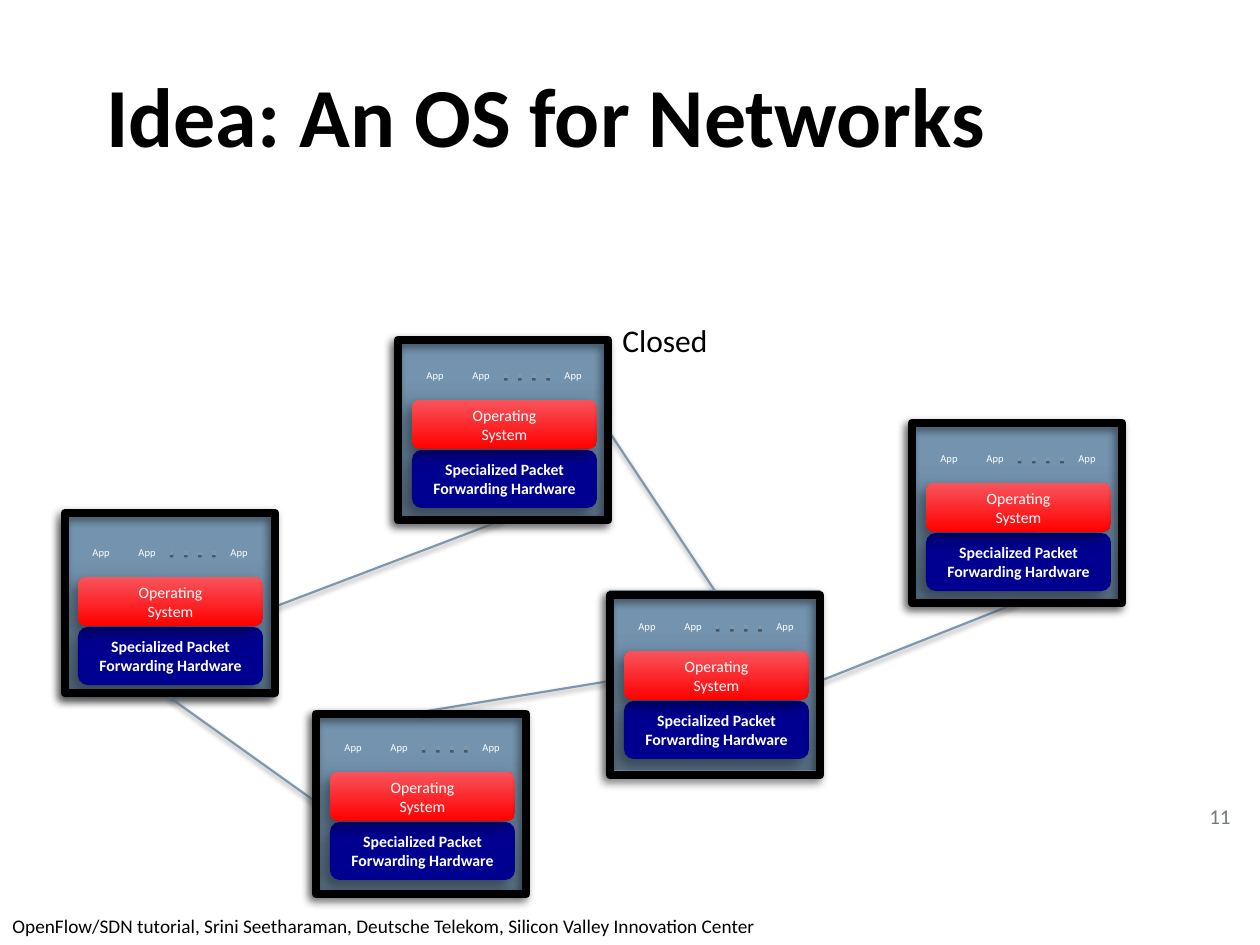
import lxml.etree
import pptx
import pptx.dml.color
import pptx.enum.shapes
import pptx.enum.text
import pptx.oxml.ns
import pptx.util

PIXELS_PER_INCH = 126
SHAPES = pptx.enum.shapes.MSO_SHAPE
ANCHOR = pptx.enum.text.MSO_ANCHOR
ALIGN = pptx.enum.text.PP_ALIGN
GROW = pptx.enum.text.MSO_AUTO_SIZE.SHAPE_TO_FIT_TEXT

THEME = {
    "font": "Calibri",
    "ink": "000000",
    "white": "FFFFFF",
    "muted": "727A81",
    "hardware": "000090",
    "system": [(0, "FF0000"), (1, "F7545C")],
    "chassis": [(0, "597186"), (0.8, "7393AE")],
    "chassis_edge": "7A94AA",
    "link": "7E97AD",
    "title_size": 48,
    "label_size": 18,
    "number_size": 12,
    "footer_size": 11,
    "layer_size": 9,
    "app_size": 6,
    "box_shadow": (45, 5, 3, 135),
    "layer_shadow": (40, 8, 5, 135),
    "link_shadow": (38, 3.1, 1.6, 90),
    "dots_shadow": (38, 0, 1.6, 90),
}

SWITCH_SIZE = (210, 180)
SWITCHES = {
    "left": (64, 517),
    "top": (398, 340),
    "right": (912, 423),
    "bottom": (316, 712),
    "center": (610, 591),
}
FRAME_SHIFTS = {"left": (1, -4), "bottom": (0, 2), "center": (0, 4)}
TOP, LEFT, BOTTOM, RIGHT = range(4)
LINKS = [
    ("left", RIGHT, "top", BOTTOM),
    ("top", RIGHT, "center", TOP),
    ("bottom", TOP, "center", LEFT),
    ("left", BOTTOM, "bottom", LEFT),
    ("center", RIGHT, "right", BOTTOM),
]


def px(*lengths):
    """Turn pixel lengths into EMU."""
    return [pptx.util.Emu(round(length * 914400 / PIXELS_PER_INCH)) for length in lengths]


def color(value):
    """Turn a hex string into a colour."""
    return pptx.dml.color.RGBColor.from_string(value)


def apply_format(target, values):
    """Set every named attribute of the target."""
    for name, value in values.items():
        setattr(target, name, value)


def add_xml(parent, tag, **attributes):
    """Append a DrawingML element."""
    return lxml.etree.SubElement(parent, pptx.oxml.ns.qn(tag), **attributes)


def set_shadow(shape, values):
    """Give a shape with a finished outline an outer shadow."""
    opacity, blur, distance, angle = values
    effects = add_xml(shape._element.spPr, "a:effectLst")
    shadow = add_xml(
        effects, "a:outerShdw", blurRad=str(round(blur * 12700)),
        dist=str(round(distance * 12700)), dir=str(angle * 60000), rotWithShape="0",
    )
    shade = add_xml(shadow, "a:srgbClr", val=THEME["ink"])
    add_xml(shade, "a:alpha", val=str(opacity * 1000))


def set_fill(shape, paint):
    """Fill with nothing, one colour or a gradient rising from the bottom."""
    if paint is None:
        shape.fill.background()
    elif isinstance(paint, str):
        shape.fill.solid()
        shape.fill.fore_color.rgb = color(paint)
    else:
        shape.fill.gradient()
        shape.fill.gradient_angle = 90
        for stop, (position, value) in zip(shape.fill.gradient_stops, paint):
            stop.position = position
            stop.color.rgb = color(value)


def set_line(shape, value, width):
    """Give a shape or connector a solid outline."""
    shape.line.color.rgb = color(value)
    shape.line.width = pptx.util.Pt(width)


def write_text(shape, lines, size, ink, bold=False, frame=None, paragraph_format=None):
    """Write lines of text as paragraphs in one style."""
    text_frame = shape.text_frame
    apply_format(text_frame, {"word_wrap": True, **(frame or {})})
    text_frame.text = "\n".join(lines)
    font = {"name": THEME["font"], "size": pptx.util.Pt(size), "bold": bold}
    for paragraph in text_frame.paragraphs:
        apply_format(paragraph, paragraph_format or {})
        for run in paragraph.runs:
            apply_format(run.font, font)
            run.font.color.rgb = color(ink)


def add_box(slide, kind, box, paint, shadow, line=None):
    """Add a preset shape with fill, outline and shadow."""
    shape = slide.shapes.add_shape(kind, *px(*box))
    set_fill(shape, paint)
    if line:
        set_line(shape, *line)
    else:
        shape.line.fill.background()
    set_shadow(shape, THEME[shadow])
    return shape


def add_text(slide, box, lines, size, ink, **options):
    """Add a text box."""
    write_text(slide.shapes.add_textbox(*px(*box)), lines, size, ink, **options)


def add_apps(slide, left, top):
    """Add the row of apps with a dotted gap."""
    frame = {"vertical_anchor": ANCHOR.MIDDLE}
    frame.update({f"margin_{side}": 0 for side in ("left", "top", "right", "bottom")})
    for offset in (0, 46, 138):
        add_text(slide, (left + offset, top, 42, 43), ["App"], THEME["app_size"], THEME["white"],
                 frame=frame, paragraph_format={"alignment": ALIGN.CENTER})
    middle = top + 22
    dots = slide.shapes.add_connector(
        pptx.enum.shapes.MSO_CONNECTOR.STRAIGHT, *px(left + 90, middle, left + 136, middle))
    set_line(dots, THEME["link"], 2)
    add_xml(dots._element.spPr.find(pptx.oxml.ns.qn("a:ln")), "a:prstDash", val="dot")
    set_shadow(dots, THEME["dots_shadow"])


def add_switch(slide, left, top):
    """Add one switch with its layers and return its chassis."""
    chassis = add_box(slide, SHAPES.RECTANGLE, (left, top, *SWITCH_SIZE), THEME["chassis"],
                      "box_shadow", (THEME["chassis_edge"], 0.75))
    layers = [
        (110, 58, THEME["hardware"], ["Specialized Packet Forwarding Hardware"], True),
        (60, 49, THEME["system"], ["Operating", "System"], False),
    ]
    for offset, height, paint, lines, bold in layers:
        layer = add_box(slide, SHAPES.ROUNDED_RECTANGLE, (left + 14, top + offset, 185, height),
                        paint, "layer_shadow")
        write_text(layer, lines, THEME["layer_size"], THEME["white"], bold,
                   {"vertical_anchor": ANCHOR.MIDDLE}, {"alignment": ALIGN.CENTER})
    add_apps(slide, left + 16, top + 14)
    return chassis


def add_network(slide):
    """Add the switches, the links between them and their closed frames."""
    chassis = {name: add_switch(slide, *corner) for name, corner in SWITCHES.items()}
    for start, start_side, end, end_side in LINKS:
        link = slide.shapes.add_connector(pptx.enum.shapes.MSO_CONNECTOR.STRAIGHT, 0, 0, 0, 0)
        link.begin_connect(chassis[start], start_side)
        link.end_connect(chassis[end], end_side)
        set_line(link, THEME["link"], 1.25)
        set_shadow(link, THEME["link_shadow"])
    for name, (left, top) in SWITCHES.items():
        right_shift, down_shift = FRAME_SHIFTS.get(name, (0, 0))
        add_box(slide, SHAPES.RECTANGLE, (left + right_shift, top + down_shift, *SWITCH_SIZE),
                None, "box_shadow", (THEME["ink"], 5))


def add_captions(slide):
    """Add the title, label, footer and slide number."""
    middle = {"vertical_anchor": ANCHOR.MIDDLE}
    add_text(slide, (94, 42, 998, 157), ["Idea: An OS for Networks"], THEME["title_size"],
             THEME["ink"], bold=True, frame=middle, paragraph_format={"line_spacing": 0.9})
    add_text(slide, (610, 315, 111, 51), ["Closed"], THEME["label_size"], THEME["ink"],
             frame={"word_wrap": False, "auto_size": GROW})
    footer = "OpenFlow/SDN tutorial, Srini Seetharaman, Deutsche Telekom, Silicon Valley Innovation Center"
    add_text(slide, (0, 908, 966, 37), [footer], THEME["footer_size"], THEME["ink"],
             frame={"auto_size": GROW})
    add_text(slide, (1197, 791, 53, 50), ["11"], THEME["number_size"], THEME["muted"], frame=middle)


def main():
    """Build and save the slide."""
    presentation = pptx.Presentation()
    presentation.slide_width, presentation.slide_height = px(1260, 945)
    slide = presentation.slides.add_slide(presentation.slide_layouts[6])
    add_network(slide)
    add_captions(slide)
    presentation.save("out.pptx")


if __name__ == "__main__":
    main()
